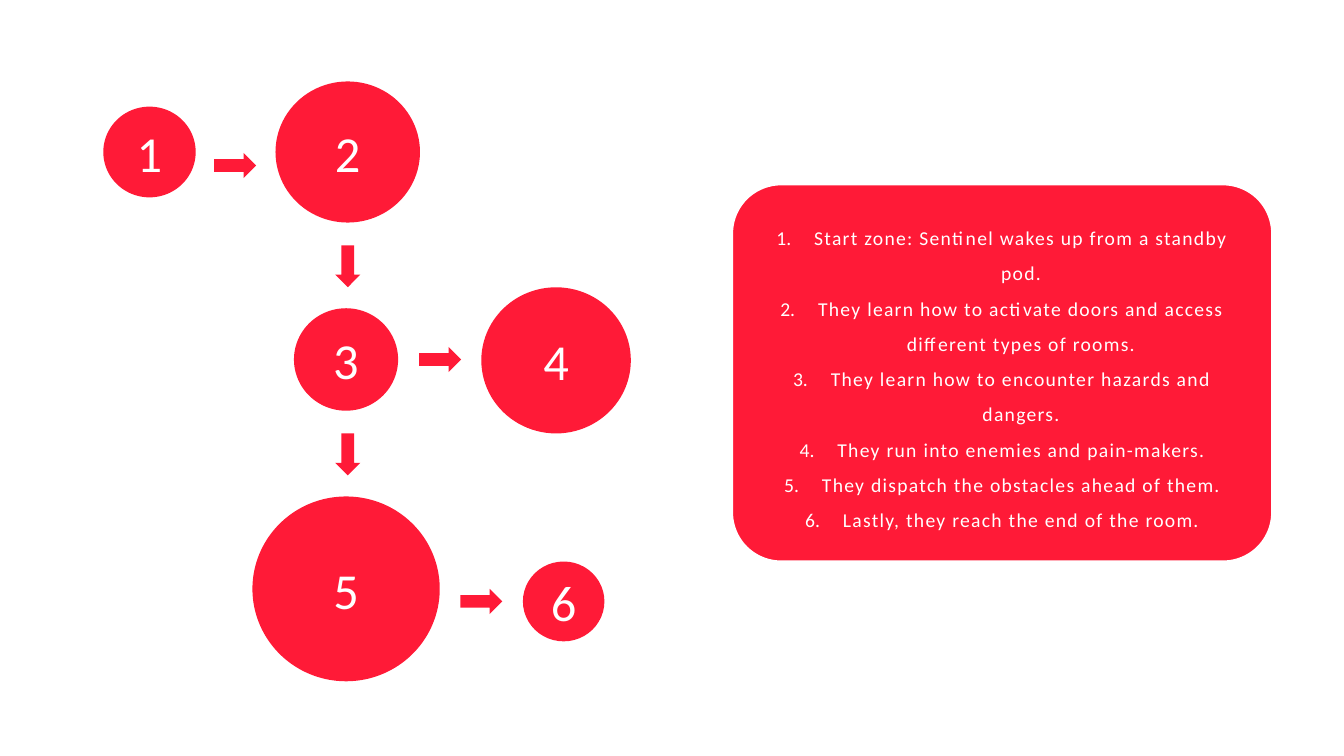
from dataclasses import dataclass

from lxml.etree import SubElement
from pptx import Presentation
from pptx.dml.color import RGBColor
from pptx.enum.shapes import MSO_SHAPE as Shape
from pptx.enum.text import MSO_ANCHOR as Anchor, PP_ALIGN as Align
from pptx.oxml.ns import qn
from pptx.util import Inches, Pt


@dataclass(frozen=True)
class Theme:
    red: RGBColor = RGBColor(0xFF, 0x1A, 0x37)
    white: RGBColor = RGBColor(0xFF, 0xFF, 0xFF)
    font: str = "Calibri"
    number_size: int = 36
    list_size: int = 14


theme = Theme()
presentation = Presentation()
presentation.slide_width = Inches(13.33)
presentation.slide_height = Inches(7.5)
slide = presentation.slides.add_slide(presentation.slide_layouts[6])
column = presentation.slide_width / 16
row = presentation.slide_height / 9


def add_red_shape(kind, center_x, center_y, width, height):
    shape = slide.shapes.add_shape(
        kind,
        round((center_x - width / 2) * column),
        round((center_y - height / 2) * row),
        round(width * column),
        round(height * row),
    )
    shape.shadow.inherit = False
    shape.fill.solid()
    shape.fill.fore_color.rgb = theme.red
    shape.line.fill.background()
    return shape


def write_centered(shape, text, size):
    frame = shape.text_frame
    frame.text = text
    frame.word_wrap = True
    frame.vertical_anchor = Anchor.MIDDLE
    for paragraph in frame.paragraphs:
        paragraph.alignment = Align.CENTER
        for run in paragraph.runs:
            run.font.name = theme.font
            run.font.size = Pt(size)
            run.font.color.rgb = theme.white


zones = [
    (1.78, 1.81, 1.10, 1.08),
    (4.14, 1.81, 1.72, 1.68),
    (4.12, 4.28, 1.24, 1.22),
    (6.62, 4.29, 1.78, 1.74),
    (4.12, 7.01, 2.23, 2.20),
    (6.71, 7.16, 0.97, 0.95),
]
for number, bounds in enumerate(zones, start=1):
    circle = add_red_shape(Shape.OVAL, *bounds)
    write_centered(circle, str(number), theme.number_size)

arrows = [
    (2.80, 1.97, 0),
    (4.14, 3.17, 90),
    (5.24, 4.28, 0),
    (4.14, 5.41, 90),
    (5.73, 7.16, 0),
]
for center_x, center_y, rotation in arrows:
    arrow = add_red_shape(Shape.RIGHT_ARROW, center_x, center_y, 0.5, 0.3)
    arrow.rotation = rotation

steps = [
    "Start zone: Sentinel wakes up from a standby pod.",
    "They learn how to activate doors and access different types of rooms.",
    "They learn how to encounter hazards and dangers.",
    "They run into enemies and pain-makers.",
    "They dispatch the obstacles ahead of them.",
    "Lastly, they reach the end of the room.",
]
panel = add_red_shape(Shape.ROUNDED_RECTANGLE, 11.93, 4.44, 6.43, 4.49)
panel.adjustments[0] = 0.13
panel.line.color.rgb = theme.white
panel.line.width = Pt(1.5)
write_centered(panel, "\n".join(steps), theme.list_size)

indent = round(0.45 * column)
for paragraph in panel.text_frame.paragraphs:
    paragraph.line_spacing = 1.5
    properties = paragraph._p.get_or_add_pPr()
    properties.set("marL", str(indent))
    properties.set("indent", str(-indent))
    SubElement(properties, qn("a:buFont"), typeface="+mj-lt")
    SubElement(properties, qn("a:buAutoNum"), type="arabicPeriod")
    for run in paragraph.runs:
        run.font._element.set("spc", "90")

presentation.save("out.pptx")
